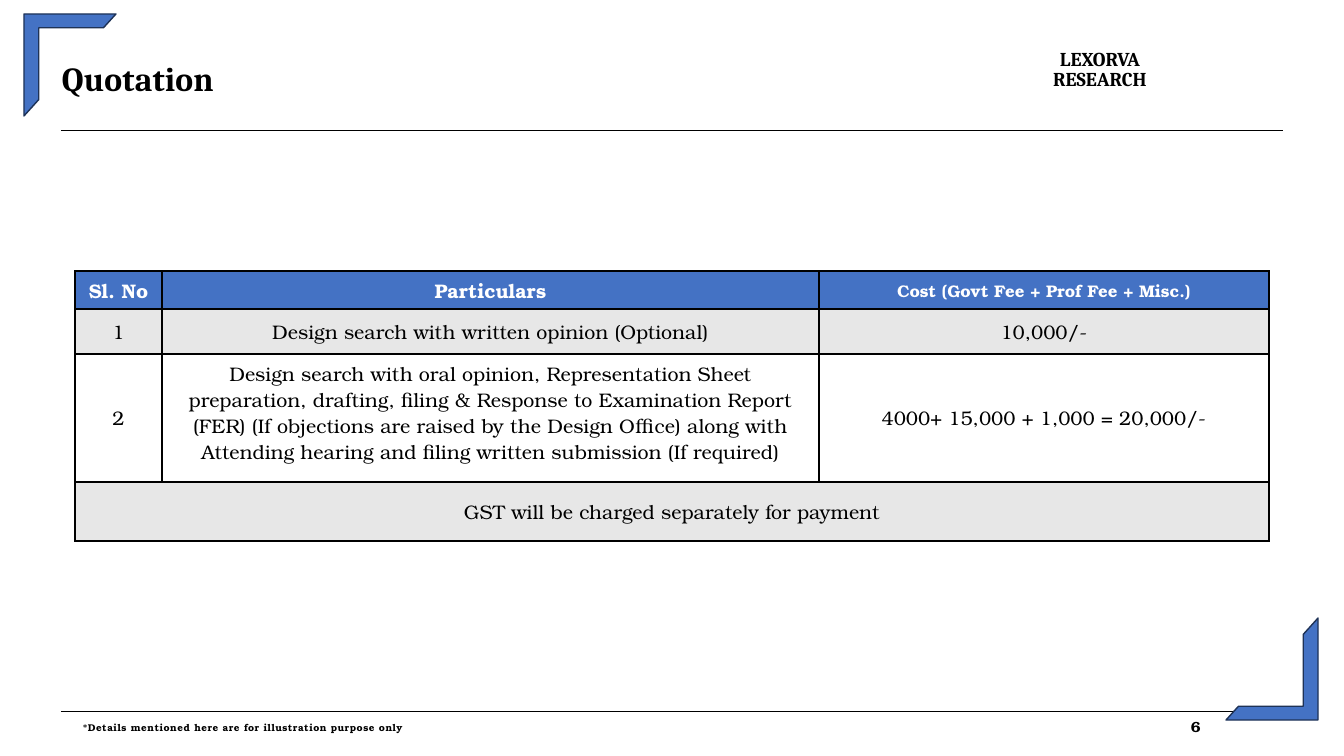
from lxml.etree import SubElement
from pptx import Presentation
from pptx.dml.color import RGBColor
from pptx.enum.shapes import MSO_CONNECTOR, MSO_SHAPE
from pptx.enum.text import MSO_ANCHOR, PP_ALIGN
from pptx.oxml.ns import qn
from pptx.util import Emu, Pt

EMU_PER_PX = 914400 / 100.8
BLUE, GREY, WHITE, BLACK = "4472C4", "E7E7E7", "FFFFFF", "000000"
HEADING_FONT, BODY_FONT = "Cambria", "TeX Gyre Bonum"
COLUMN_WIDTHS = [87, 657, 450]
ROW_HEIGHTS = [38, 45, 128, 59]
QUOTATION = [
    ["Sl. No", "Particulars", "Cost (Govt Fee + Prof Fee + Misc.)"],
    ["1", "Design search with written opinion (Optional)", "10,000/-"],
    ["2", "Design search with oral opinion, Representation Sheet preparation, "
          "drafting, filing & Response to Examination Report (FER) (If objections "
          "are raised by the Design Office) along with Attending hearing and "
          "filing written submission (If required)",
     "4000+ 15,000 + 1,000 = 20,000/-"],
    ["GST will be charged separately for payment"],
]


def px(length):
    """Turn pixels into EMU."""
    return Emu(round(length * EMU_PER_PX))


def color(hex_code):
    """Turn a hex string into a colour."""
    return RGBColor.from_string(hex_code)


def apply(target, values):
    """Set every attribute named in a dict of format values."""
    for name, value in values.items():
        setattr(target, name, value)


def style_paragraph(paragraph, text, size, font, ink=BLACK, bold=True,
                    align=PP_ALIGN.LEFT, leading=1.0, tracking=0):
    """Write one formatted run into a paragraph."""
    apply(paragraph, {"alignment": align, "line_spacing": leading})
    run = paragraph.add_run()
    run.text = text
    apply(run.font, {"name": font, "size": Pt(size), "bold": bold})
    run.font.color.rgb = color(ink)
    if tracking:
        run.font._element.set("spc", str(tracking))


def add_label(slide, box, lines, **style):
    """Place a text box whose lines are centred vertically in its box."""
    frame = slide.shapes.add_textbox(*map(px, box)).text_frame
    apply(frame, {"word_wrap": True, "vertical_anchor": MSO_ANCHOR.MIDDLE,
                  "margin_left": 0, "margin_right": 0,
                  "margin_top": 0, "margin_bottom": 0})
    for index, line in enumerate(lines):
        paragraph = frame.add_paragraph() if index else frame.paragraphs[0]
        style_paragraph(paragraph, line, **style)


def add_rule(slide, left, top, width):
    """Draw a thin horizontal rule."""
    rule = slide.shapes.add_connector(
        MSO_CONNECTOR.STRAIGHT, px(left), px(top), px(left + width), px(top))
    rule.line.width = Pt(0.5)
    rule.line.color.rgb = color(BLACK)
    SubElement(rule._element.spPr, qn("a:effectLst"))


def add_corner(slide, left, top, rotation):
    """Draw a blue corner bracket."""
    corner = slide.shapes.add_shape(
        MSO_SHAPE.HALF_FRAME, *map(px, (left, top, 92, 102)))
    corner.rotation = rotation
    corner.adjustments[0], corner.adjustments[1] = 0.15, 0.161
    corner.shadow.inherit = False
    corner.fill.solid()
    corner.fill.fore_color.rgb = color(BLUE)
    corner.line.color.rgb = color("1E3256")
    corner.line.width = Pt(1)


def add_header(slide, left, top, width):
    """Place the title, the firm name and the rule below them."""
    add_label(slide, (left + 1, top + 20, 500, 40), ["Quotation"],
              size=24, font=HEADING_FONT, leading=0.87, tracking=10)
    add_label(slide, (left + 979, top + 8, 120, 43), ["LEXORVA", "RESEARCH"],
              size=14, font=HEADING_FONT, align=PP_ALIGN.CENTER, leading=0.87)
    add_rule(slide, left, top + 89, width)


def add_borders(cell):
    """Give a cell a black line on all four sides."""
    properties = cell._tc.get_or_add_tcPr()
    for position, side in enumerate(("lnL", "lnR", "lnT", "lnB")):
        border = SubElement(properties, qn(f"a:{side}"), w=str(Pt(1)))
        fill = SubElement(border, qn("a:solidFill"))
        SubElement(fill, qn("a:srgbClr"), val=BLACK)
        properties.insert(position, border)


def add_quotation_table(slide, left, top):
    """Place the cost table with its merged closing row."""
    box = (left, top, sum(COLUMN_WIDTHS), sum(ROW_HEIGHTS))
    table = slide.shapes.add_table(
        len(ROW_HEIGHTS), len(COLUMN_WIDTHS), *map(px, box)).table
    for column, width in zip(table.columns, COLUMN_WIDTHS):
        column.width = px(width)
    for row, height in zip(table.rows, ROW_HEIGHTS):
        row.height = px(height)
    closing_row = len(ROW_HEIGHTS) - 1
    table.cell(closing_row, 0).merge(
        table.cell(closing_row, len(COLUMN_WIDTHS) - 1))
    row_fills = [BLUE, GREY, WHITE, GREY]
    for row, fill in enumerate(row_fills):
        for column in range(len(COLUMN_WIDTHS)):
            cell = table.cell(row, column)
            cell.fill.solid()
            cell.fill.fore_color.rgb = color(fill)
            cell.vertical_anchor = MSO_ANCHOR.MIDDLE
            add_borders(cell)
        for column, text in enumerate(QUOTATION[row]):
            heading = row == 0
            style_paragraph(
                table.cell(row, column).text_frame.paragraphs[0], text,
                size=12 if heading and column == 2 else 14, font=BODY_FONT,
                ink=WHITE if heading else BLACK, bold=heading,
                align=PP_ALIGN.CENTER)
    apply(table.cell(2, 1), {"margin_top": px(5), "margin_bottom": px(16)})


def add_footer(slide, left, top, width):
    """Place the footer rule, the disclaimer and the page number."""
    add_rule(slide, left, top, width)
    add_label(slide, (left + 22, top + 8, 500, 18),
              ["*Details mentioned here are for illustration purpose only"],
              size=7, font=BODY_FONT, tracking=40)
    add_label(slide, (left + 1130, top + 7, 30, 18), ["6"],
              size=10.5, font=BODY_FONT)


def build_quotation_slide(deck):
    """Add the quotation slide to the deck."""
    slide = deck.slides.add_slide(deck.slide_layouts[6])
    add_header(slide, 61, 41, 1222)
    add_quotation_table(slide, 75, 271)
    add_footer(slide, 61, 711, 1222)
    add_corner(slide, 24, 14, 0)
    add_corner(slide, 1226, 618, 180)


def main():
    """Build and save the deck."""
    deck = Presentation()
    apply(deck, {"slide_width": px(1344), "slide_height": px(756)})
    build_quotation_slide(deck)
    deck.save("out.pptx")


if __name__ == "__main__":
    main()
